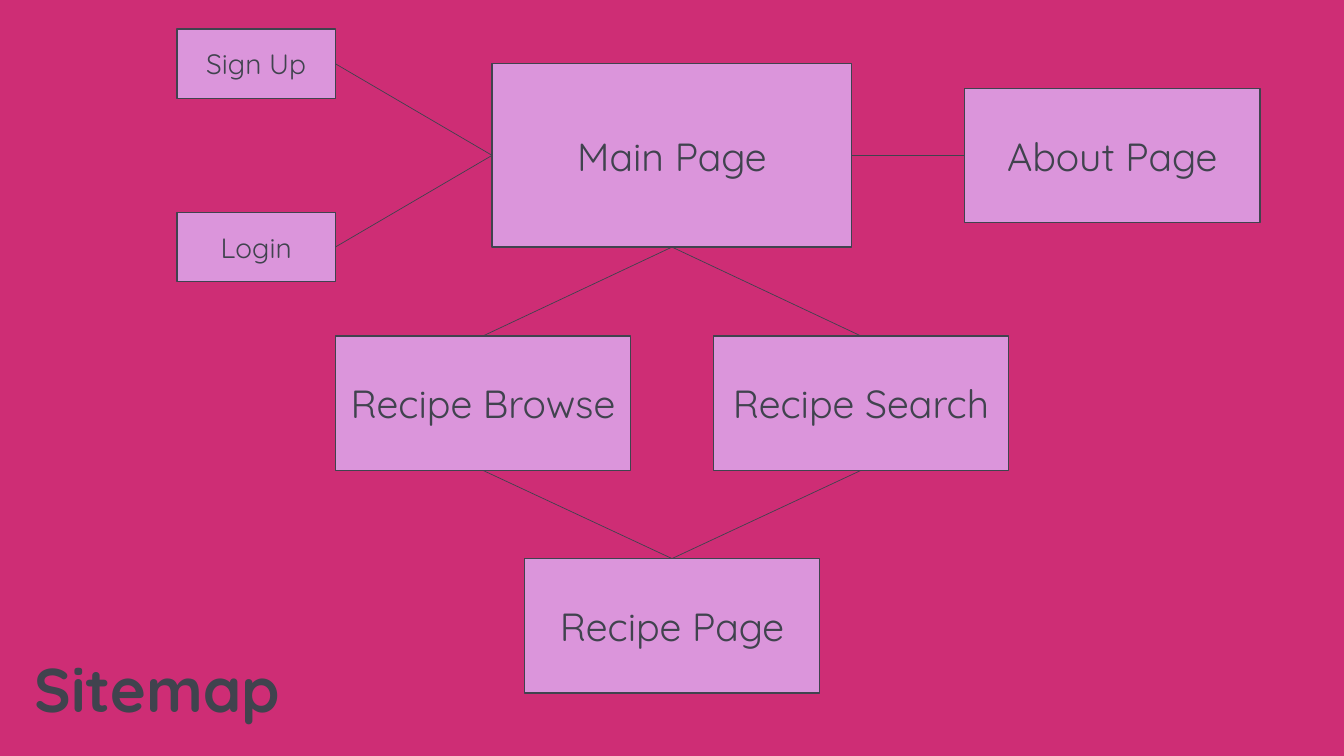
from lxml.etree import SubElement
from pptx import Presentation
from pptx.dml.color import RGBColor
from pptx.enum.shapes import MSO_CONNECTOR, MSO_SHAPE
from pptx.enum.text import MSO_ANCHOR, PP_ALIGN
from pptx.oxml.ns import qn
from pptx.util import Pt

TOP, LEFT, BOTTOM, RIGHT = range(4)


def rgb(value):
    return RGBColor.from_string(value)


class Sitemap:
    """Draw page boxes, links and a title in one style on the current slide."""

    background, box_fill, ink, font = "CE2D75", "DB95DB", "40434E", "Quicksand"

    def __init__(self, prs):
        self.s = prs.slides.add_slide(prs.slide_layouts[6])
        fill = self.s.background.fill
        fill.solid()
        fill.fore_color.rgb = rgb(self.background)

    def label(self, sp, text, align, spacing=1.0, **fmt):
        tf = sp.text_frame
        tf.word_wrap = True
        tf.vertical_anchor = MSO_ANCHOR.MIDDLE
        p = tf.paragraphs[0]
        p.alignment, p.line_spacing = align, spacing
        r = p.add_run()
        r.text = text
        r.font.color.rgb = rgb(self.ink)
        for name, value in {"name": self.font, **fmt}.items():
            setattr(r.font, name, value)

    def stroke(self, line, width):
        line.color.rgb = rgb(self.ink)
        line.width = Pt(width)

    def box(self, text, cx, cy, w, h, size):
        sp = self.s.shapes.add_shape(
            MSO_SHAPE.RECTANGLE, Pt(cx - w / 2), Pt(cy - h / 2), Pt(w), Pt(h))
        sp.shadow.inherit = False
        sp.fill.solid()
        sp.fill.fore_color.rgb = rgb(self.box_fill)
        self.stroke(sp.line, 1)
        self.label(sp, text, PP_ALIGN.CENTER, size=Pt(size))
        return sp

    def link(self, start, start_side, end, end_side):
        cxn = self.s.shapes.add_connector(MSO_CONNECTOR.STRAIGHT, 0, 0, 0, 0)
        cxn.begin_connect(start, start_side)
        cxn.end_connect(end, end_side)
        self.stroke(cxn.line, 0.5)
        SubElement(cxn._element.spPr, qn("a:effectLst"))

    def title(self, text, x, y, w, h):
        sp = self.s.shapes.add_textbox(Pt(x), Pt(y), Pt(w), Pt(h))
        self.label(sp, text, PP_ALIGN.LEFT, 0.9, size=Pt(44), bold=True)


prs = Presentation()
prs.slide_width, prs.slide_height = Pt(960), Pt(540)
sitemap = Sitemap(prs)

MIDDLE, MAIN_Y, RECIPE_Y = 480, 111, 288
ACCOUNT_DY, RECIPE_DX = 65.5, 135
PAGE = {"w": 211, "h": 96, "size": 28}
ACCOUNT = {"w": 113, "h": 49.5, "size": 20}

main = sitemap.box("Main Page", MIDDLE, MAIN_Y, 257, 131, 28)
about = sitemap.box("About Page", 794.5, MAIN_Y, **PAGE)
recipe = sitemap.box("Recipe Page", MIDDLE, 447, **PAGE)
sitemap.link(main, RIGHT, about, LEFT)

for side, text in ((-1, "Sign Up"), (1, "Login")):
    account = sitemap.box(text, 183, MAIN_Y + side * ACCOUNT_DY, **ACCOUNT)
    sitemap.link(account, RIGHT, main, LEFT)

for side, text in ((-1, "Recipe Browse"), (1, "Recipe Search")):
    finder = sitemap.box(text, MIDDLE + side * RECIPE_DX, RECIPE_Y, **PAGE)
    sitemap.link(main, BOTTOM, finder, TOP)
    sitemap.link(finder, BOTTOM, recipe, TOP)

sitemap.title("Sitemap", 17.5, 443, 828, 104)
prs.save("out.pptx")
